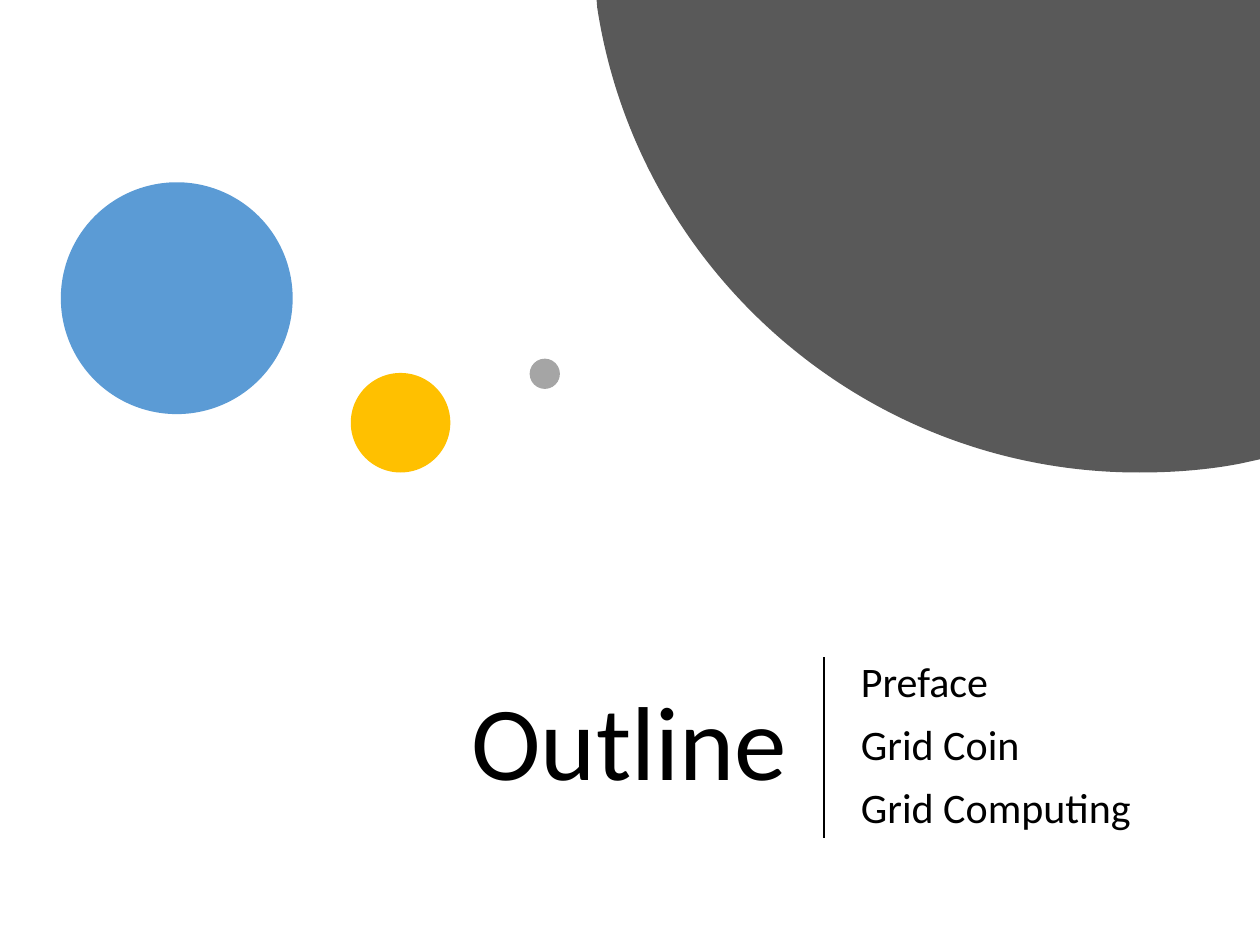
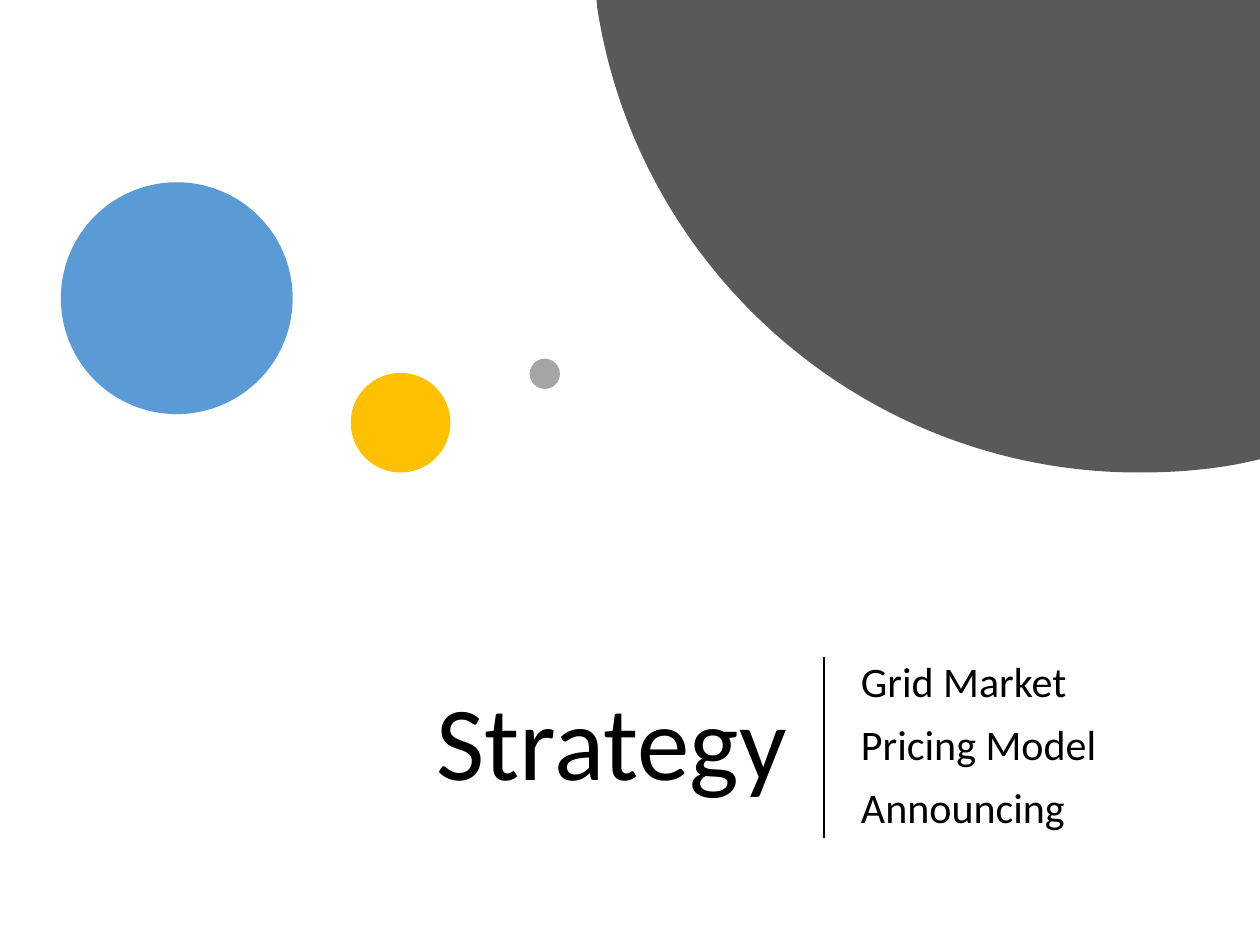
import pptx
import pptx.util
import pptx.dml.color
import pptx.enum.shapes
import pptx.enum.text
import pptx.oxml.ns
import lxml.etree

COLORS = {
    "text": "000000",
    "blue": "5B9BD5",
    "gold": "FFC000",
    "silver": "A5A5A5",
    "charcoal": "595959",
}
FONT = "Calibri"
COLUMNS = 100

SECTIONS = [
    ("Outline", ["Preface", "Grid Coin", "Grid Computing"]),
    ("Strategy", ["Grid Market", "Pricing Model", "Announcing"]),
]
DOTS = [
    ("blue", 4.83, 14.47, 18.4),
    ("gold", 27.84, 29.6, 7.9),
    ("silver", 42.04, 28.47, 2.4),
]
TEXT_TOP, TEXT_HEIGHT = 49.85, 18.8
DIVIDER_COLUMN, DIVIDER_TOP, DIVIDER_BOTTOM = 65.4, 52.16, 66.55

DISC_START = (47.35, 0)
DISC_EDGES = [(COLUMNS, 0), (COLUMNS, 36.45), (98.4, 36.8)]
DISC_CURVES = [
    [(95.8, 37.3), (93.1, 37.5), (90.4, 37.5)],
    [(68.7, 37.5), (50.6, 21.5), (47.4, 0.6)],
]

deck = pptx.Presentation()
deck.slide_width = pptx.util.Inches(10)
deck.slide_height = pptx.util.Inches(7.5)
blank_layout = deck.slide_layouts[6]


def cells(*counts):
    return [round(count * deck.slide_width / COLUMNS) for count in counts]


def paint(shape, color):
    shape.shadow.inherit = False
    shape.fill.solid()
    shape.fill.fore_color.rgb = pptx.dml.color.RGBColor.from_string(COLORS[color])
    shape.line.fill.background()


for title, topics in SECTIONS:
    page = deck.slides.add_slide(blank_layout)

    text_blocks = [
        (6.83, 56.6, [title], 60, 0, pptx.enum.text.PP_ALIGN.RIGHT),
        (67.35, 27.7, topics, 24, 10, pptx.enum.text.PP_ALIGN.LEFT),
    ]
    for left, width, lines, size, space, alignment in text_blocks:
        box = page.shapes.add_textbox(*cells(left, TEXT_TOP, width, TEXT_HEIGHT))
        frame = box.text_frame
        frame.word_wrap = True
        frame.vertical_anchor = pptx.enum.text.MSO_ANCHOR.MIDDLE
        frame.text = "\n".join(lines)
        for para in frame.paragraphs:
            para.alignment = alignment
            para.line_spacing = 0.9
            para.space_before = pptx.util.Pt(space)
            para.font.name = FONT
            para.font.size = pptx.util.Pt(size)
            para.font.color.rgb = pptx.dml.color.RGBColor.from_string(COLORS["text"])

    for color, left, top, diameter in DOTS:
        dot = page.shapes.add_shape(pptx.enum.shapes.MSO_SHAPE.OVAL,
                                    *cells(left, top, diameter, diameter))
        paint(dot, color)

    outline = page.shapes.build_freeform(*cells(*DISC_START))
    points = DISC_EDGES + sum(DISC_CURVES, [])
    outline.add_line_segments([cells(*point) for point in points], close=True)
    disc = outline.convert_to_shape()
    paint(disc, "charcoal")
    segments = list(disc._element.iter(pptx.oxml.ns.qn("a:lnTo")))[len(DISC_EDGES):]
    for first in range(0, len(segments), 3):
        curve = lxml.etree.Element(pptx.oxml.ns.qn("a:cubicBezTo"))
        segments[first].addprevious(curve)
        for segment in segments[first:first + 3]:
            curve.append(segment[0])
            segment.getparent().remove(segment)

    divider = page.shapes.add_connector(
        pptx.enum.shapes.MSO_CONNECTOR.STRAIGHT,
        *cells(DIVIDER_COLUMN, DIVIDER_TOP, DIVIDER_COLUMN, DIVIDER_BOTTOM))
    divider.line.width = pptx.util.Pt(1.5)
    divider.line.color.rgb = pptx.dml.color.RGBColor.from_string(COLORS["text"])
    lxml.etree.SubElement(divider._element.spPr, pptx.oxml.ns.qn("a:effectLst"))

deck.save("out.pptx")
